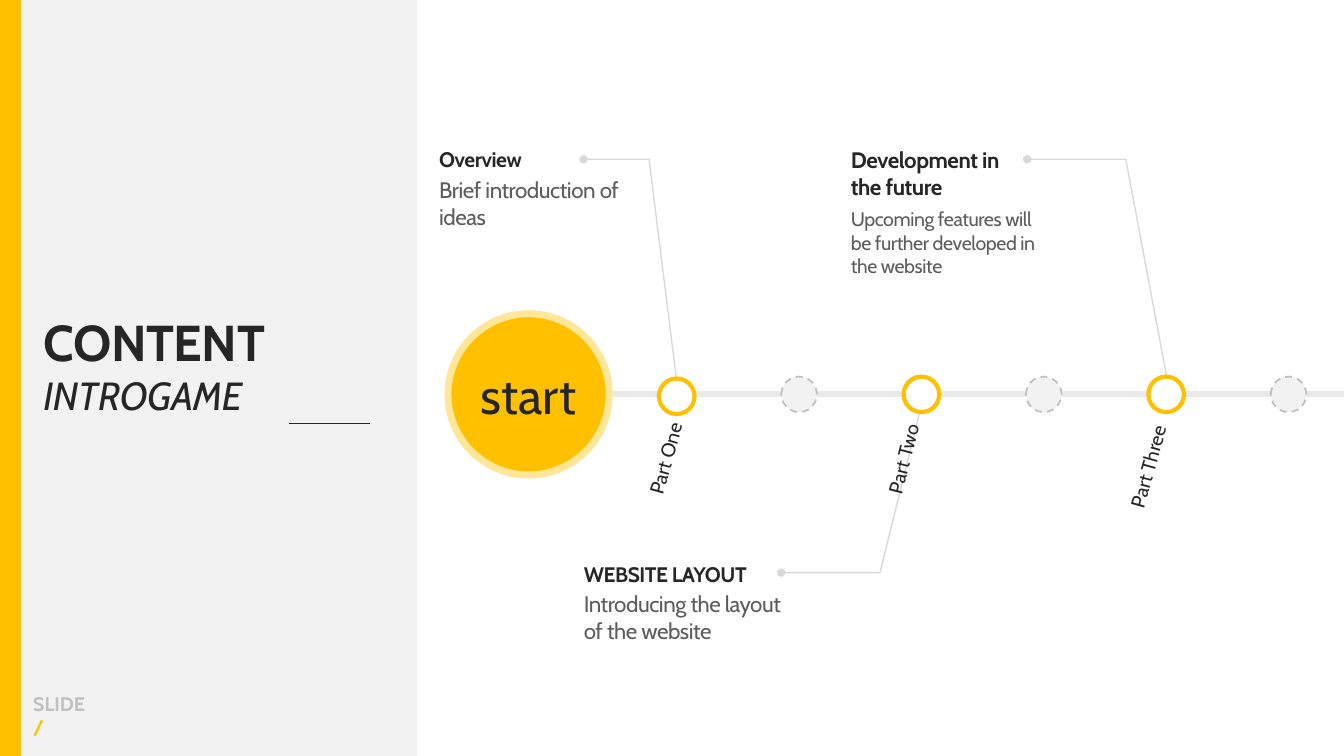
from dataclasses import dataclass

from lxml.etree import SubElement
from pptx import Presentation
from pptx.dml.color import RGBColor
from pptx.enum.dml import MSO_LINE_DASH_STYLE as Dash
from pptx.enum.shapes import MSO_CONNECTOR as Connector, MSO_SHAPE as Shape
from pptx.enum.text import MSO_ANCHOR as Anchor, PP_ALIGN as Align
from pptx.oxml.ns import qn
from pptx.util import Pt


@dataclass(frozen=True)
class Theme:
    font: str = "Cabin"
    accent: str = "FFC000"
    halo: str = "FFE699"
    panel: str = "F2F2F2"
    white: str = "FFFFFF"
    ink: str = "262626"
    body: str = "5C5C5C"
    muted: str = "BFBFBF"
    leader: str = "D9D9D9"
    axis: str = "E9E9E9"
    display_size: float = 36
    subtitle_size: float = 28
    lead_size: float = 16
    heading_size: float = 15
    label_size: float = 14


@dataclass(frozen=True)
class Box:
    left: float
    top: float
    width: float
    height: float

    def inner(self, left, top, width, height):
        return Box(self.left + left, self.top + top, width, height)

    def lengths(self):
        return [Pt(n) for n in (self.left, self.top, self.width, self.height)]


@dataclass(frozen=True)
class Stop:
    label: str
    label_box: tuple
    label_turn: float
    heading: str
    heading_size: float
    body: str
    body_size: float
    text_at: tuple
    body_gap: float
    leader: tuple
    drop: float = 0


THEME = Theme()
STOPS = [
    Stop("Part One", (-33.8, 49.2, 65, 25), 285.6,
         "Overview", THEME.heading_size,
         "Brief introduction of ideas", THEME.lead_size,
         (15.7, 104.4), 21.2, ((185.3, 271.4), (165.7, 113.8), (118.9, 113.8)), 1.4),
    Stop("Part Two", (-38.8, 51.8, 63, 22.3), 284.4,
         "WEBSITE LAYOUT", THEME.heading_size,
         "Introducing the layout of the website", THEME.lead_size,
         (119, 401), 20.7, ((359.4, 292.3), (330.6, 409), (260, 409))),
    Stop("Part Three", (-51, 62.7, 86, 25), 285.6,
         "Development in the future", THEME.lead_size,
         "Upcoming features will be further developed in the website", THEME.label_size,
         (309.8, 104.4), 43.4, ((535.8, 271.4), (506.2, 113.8), (435.7, 113.8))),
]


def rgb(color):
    return RGBColor.from_string(color)


def add_run(paragraph, text, size, color, bold=False, italic=False, spacing=0):
    run = paragraph.add_run()
    run.text = text
    font = run.font
    font.name, font.size, font.bold, font.italic = THEME.font, Pt(size), bold, italic
    font.color.rgb = rgb(color)
    if spacing:
        font._element.set("spc", str(round(spacing * 100)))


def add_text(slide, box, text, size, color, align=Align.LEFT, line_spacing=None, **style):
    textbox = slide.shapes.add_textbox(*box.lengths())
    frame = textbox.text_frame
    frame.word_wrap = True
    frame.margin_left = frame.margin_top = frame.margin_right = frame.margin_bottom = 0
    paragraph = frame.paragraphs[0]
    paragraph.alignment = align
    if line_spacing:
        paragraph.line_spacing = line_spacing
    add_run(paragraph, text, size, color, **style)
    return textbox


def add_block(slide, kind, box, fill, line=None, width=1, dash=None):
    block = slide.shapes.add_shape(kind, *box.lengths())
    block.shadow.inherit = False
    block.fill.solid()
    block.fill.fore_color.rgb = rgb(fill)
    if line:
        block.line.color.rgb = rgb(line)
        block.line.width = Pt(width)
        if dash:
            block.line.dash_style = dash
    else:
        block.line.fill.background()
    return block


def add_rule(slide, left, right, y, color, width):
    rule = slide.shapes.add_connector(Connector.STRAIGHT, Pt(left), Pt(y), Pt(right), Pt(y))
    rule.line.color.rgb = rgb(color)
    rule.line.width = Pt(width)
    SubElement(rule._element.spPr, qn("a:effectLst"))


def add_leader(slide, box, points):
    node, *rest = [(Pt(box.left + x), Pt(box.top + y)) for x, y in points]
    builder = slide.shapes.build_freeform(*node, scale=1.0)
    builder.add_line_segments(rest, close=False)
    leader = builder.convert_to_shape()
    leader.shadow.inherit = False
    leader.fill.background()
    leader.line.color.rgb = rgb(THEME.leader)
    leader.line.width = Pt(1)
    SubElement(leader.line._get_or_add_ln(), qn("a:tailEnd"), type="oval")


def add_title_panel(slide, box):
    add_block(slide, Shape.RECTANGLE, box, THEME.panel)
    add_text(slide, box.inner(16, 222.5, 253, 44), "CONTENT",
             THEME.display_size, THEME.ink, bold=True, spacing=-0.3)
    add_text(slide, box.inner(16, 269.3, 253, 33), "INTROGAME",
             THEME.subtitle_size, THEME.ink, line_spacing=0.9, italic=True, spacing=-0.3)
    add_rule(slide, box.left + 191.5, box.left + 249.3, box.top + 302.4, THEME.ink, 0.5)
    footer = add_text(slide, box.inner(8.7, 494, 44, 34), "SLIDE",
                      THEME.label_size, THEME.muted, bold=True)
    paragraph = footer.text_frame.paragraphs[0]
    paragraph.add_line_break()
    add_run(paragraph, "/", THEME.label_size, THEME.accent, bold=True)


def add_start(slide, box):
    start = add_block(slide, Shape.OVAL, box, THEME.accent, THEME.halo, 5)
    frame = start.text_frame
    frame.word_wrap = False
    frame.vertical_anchor = Anchor.MIDDLE
    frame.paragraphs[0].alignment = Align.CENTER
    add_run(frame.paragraphs[0], "start", THEME.display_size, THEME.ink)


def add_stop(slide, box, node, stop):
    add_block(slide, Shape.OVAL, node, THEME.white, THEME.accent, 3)
    label = add_text(slide, node.inner(*stop.label_box), stop.label, THEME.label_size,
                     THEME.ink, align=Align.RIGHT, line_spacing=1.5)
    label.rotation = stop.label_turn
    left, top = stop.text_at
    add_text(slide, box.inner(left, top, 126, 18), stop.heading,
             stop.heading_size, THEME.ink, bold=True, spacing=-0.3)
    add_text(slide, box.inner(left, top + stop.body_gap, 141, 78), stop.body,
             stop.body_size, THEME.body, spacing=-0.3)


def add_timeline(slide, box):
    add_block(slide, Shape.RECTANGLE, box, THEME.white)
    for stop in reversed(STOPS):
        add_leader(slide, box, stop.leader)
    axis_y, diameter, pitch = 281.7, 25.4, 87.4
    add_rule(slide, box.left + 119, box.left + box.width, box.top + axis_y, THEME.axis, 4.25)
    add_start(slide, box.inner(22, axis_y - 57.6, 115.2, 115.2))
    for index, stop in enumerate(STOPS):
        x, y = 172.7 + 2 * index * pitch, axis_y - diameter / 2
        add_stop(slide, box, box.inner(x, y + stop.drop, diameter, diameter), stop)
        add_block(slide, Shape.OVAL, box.inner(x + pitch, y, diameter, diameter),
                  THEME.panel, THEME.muted, 1.25, Dash.DASH)


def main():
    deck = Presentation()
    deck.slide_width, deck.slide_height = Pt(960), Pt(540)
    slide = deck.slides.add_slide(deck.slide_layouts[6])
    slide.background.fill.solid()
    slide.background.fill.fore_color.rgb = rgb(THEME.accent)
    add_title_panel(slide, Box(15, 0, 283, 540))
    add_timeline(slide, Box(298, 0, 662, 540))
    deck.save("out.pptx")


if __name__ == "__main__":
    main()
